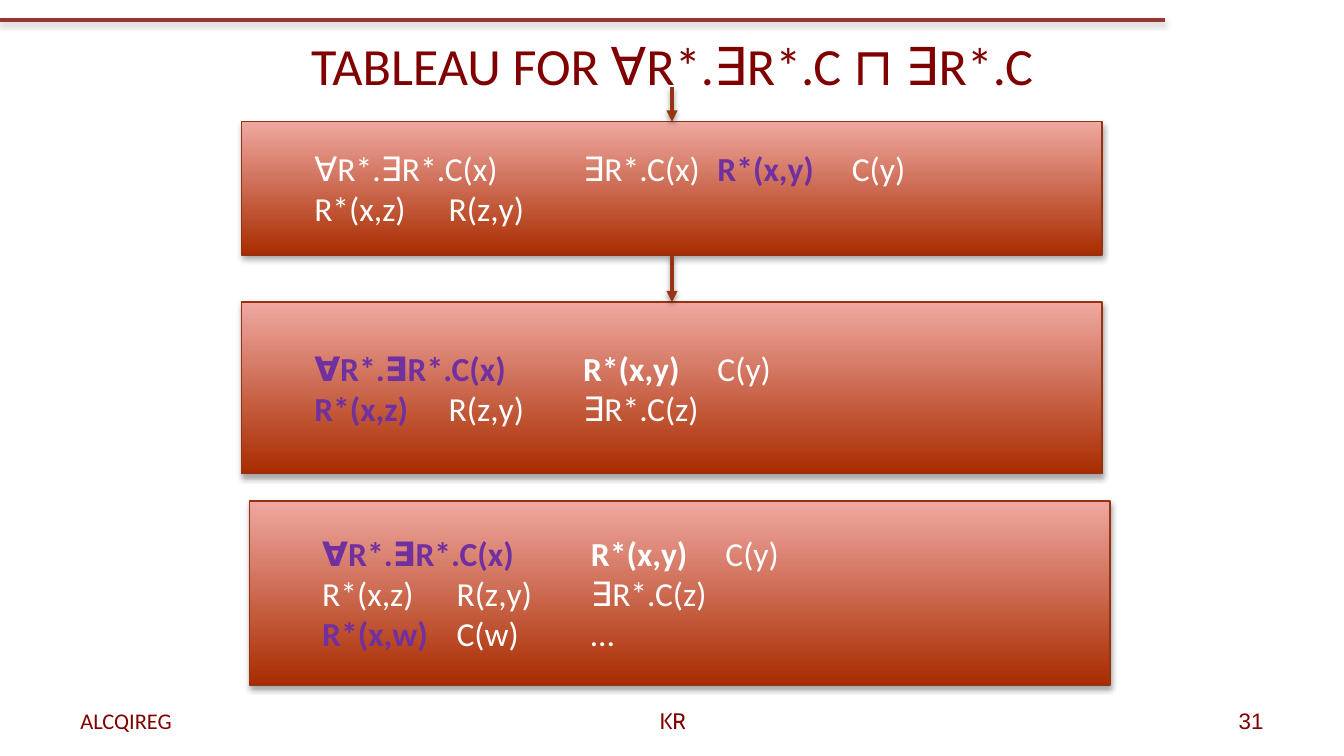
from lxml.etree import SubElement
from pptx import Presentation
from pptx.dml.color import RGBColor
from pptx.enum.shapes import MSO_CONNECTOR, MSO_SHAPE
from pptx.enum.text import MSO_ANCHOR, MSO_AUTO_SIZE, PP_ALIGN
from pptx.oxml.ns import qn
from pptx.util import Cm, Pt

MAROON = RGBColor(0x80, 0x00, 0x00)
RULE_RED = RGBColor(0x95, 0x37, 0x35)
ARROW_RED = RGBColor(0x96, 0x35, 0x13)
BORDER_RED = RGBColor(0x96, 0x32, 0x0F)
DEEP_RED = RGBColor(0xA9, 0x2C, 0x00)
PALE_RED = RGBColor(0xEF, 0xA8, 0xA1)
PURPLE = RGBColor(0x70, 0x30, 0xA0)
WHITE = RGBColor(0xFF, 0xFF, 0xFF)

PLAIN = (WHITE, False)
STRONG = (WHITE, True)
ACTIVE = (PURPLE, True)

TITLE = "TABLEAU FOR ∀R*.∃R*.C ⊓ ∃R*.C"

# Each line of a tableau node is a list of (text, style) spans.
EXPANDED = [("∀R*.∃R*.C(x)\t", ACTIVE), ("R*(x,y)", STRONG), ("\tC(y)", PLAIN)]
NODES = [
    {"left": 4.57, "top": 2.3, "height": 2.52, "lines": [
        [("∀R*.∃R*.C(x)\t∃R*.C(x)\t", PLAIN), ("R*(x,y)", ACTIVE), ("\tC(y)", PLAIN)],
        [("R*(x,z)\tR(z,y)", PLAIN)],
    ]},
    {"left": 4.57, "top": 5.71, "height": 3.24, "lines": [
        EXPANDED,
        [("R*(x,z)\t", ACTIVE), ("R(z,y)\t∃R*.C(z)", PLAIN)],
    ]},
    {"left": 4.72, "top": 9.47, "height": 3.48, "lines": [
        EXPANDED,
        [("R*(x,z)\tR(z,y)\t∃R*.C(z)", PLAIN)],
        [("R*(x,w)", ACTIVE), ("\tC(w)\t…", PLAIN)],
    ]},
]
NODE_WIDTH = 16.26
TAB_STEP = 2.54
TAB_COUNT = 4

# Text, left, width, font, alignment
FOOTERS = [
    ("ALCQIREG", 1.27, 6.93, "Calibri", PP_ALIGN.LEFT),
    ("KR", 8.69, 8.05, "Cabin", PP_ALIGN.CENTER),
    ("31", 18.21, 5.92, "Arial", PP_ALIGN.RIGHT),
]


def write(frame, lines, size, font="Calibri", align=PP_ALIGN.LEFT, tabs=0):
    """Fill a text frame with lines made of (text, (colour, bold)) spans."""
    frame.word_wrap = True
    frame.auto_size = MSO_AUTO_SIZE.NONE
    frame.vertical_anchor = MSO_ANCHOR.MIDDLE
    for index, line in enumerate(lines):
        para = frame.add_paragraph() if index else frame.paragraphs[0]
        para.alignment = align
        if tabs:
            tab_list = SubElement(para._p.get_or_add_pPr(), qn("a:tabLst"))
            for number in range(1, tabs + 1):
                SubElement(tab_list, qn("a:tab"), pos=str(Cm(number * TAB_STEP)), algn="l")
        for text, (color, bold) in line:
            span = para.add_run()
            span.text = text
            span.font.name = font
            span.font.size = Pt(size)
            span.font.bold = bold
            span.font.color.rgb = color


def add_shadow(shape, color, opacity, distance):
    """Give a shape a soft shadow that falls straight down."""
    effects = SubElement(shape._element.spPr, qn("a:effectLst"))
    shadow = SubElement(effects, qn("a:outerShdw"), blurRad=str(Pt(3.1)),
                        dist=str(Pt(distance)), dir="5400000", rotWithShape="0")
    tint = SubElement(shadow, qn("a:srgbClr"), val=color)
    SubElement(tint, qn("a:alpha"), val=str(opacity * 1000))


def add_line(page, start, end, color, shadow_color):
    line = page.shapes.add_connector(
        MSO_CONNECTOR.STRAIGHT, *(Cm(value) for value in start + end))
    line.line.color.rgb = color
    line.line.width = Pt(2)
    add_shadow(line, shadow_color, 38, 1.6)
    return line


def add_arrow(page, start, end):
    arrow = add_line(page, start, end, ARROW_RED, "000000")
    SubElement(arrow.line._get_or_add_ln(), qn("a:tailEnd"), type="triangle")
    return arrow


def add_node(page, node):
    box = page.shapes.add_shape(
        MSO_SHAPE.RECTANGLE, Cm(node["left"]), Cm(node["top"]),
        Cm(NODE_WIDTH), Cm(node["height"]))
    box.fill.gradient()
    box.fill.gradient_angle = 90
    for stop, color in zip(box.fill.gradient_stops, (DEEP_RED, PALE_RED)):
        stop.color.rgb = color
    for stop, position in zip(box.fill.gradient_stops, (0, 1)):
        stop.position = position
    box.line.color.rgb = BORDER_RED
    box.line.width = Pt(0.75)
    add_shadow(box, "000000", 35, 1.8)
    box.text_frame.margin_left = Cm(1.37)
    write(box.text_frame, node["lines"], 18, tabs=TAB_COUNT)
    return box


def main():
    deck = Presentation()
    deck.slide_width, deck.slide_height = Cm(25.4), Cm(14.29)
    page = deck.slides.add_slide(deck.slide_layouts[5])

    add_line(page, (0, 0.38), (22.02, 0.38), RULE_RED, "808080")

    title = page.shapes.title
    title.left, title.top, title.width, title.height = Cm(1.27), Cm(0.03), Cm(22.86), Cm(2.39)
    write(title.text_frame, [[(TITLE, (MAROON, False))]], 28, align=PP_ALIGN.CENTER)

    for text, left, width, font, align in FOOTERS:
        footer = page.shapes.add_textbox(Cm(left), Cm(13.24), Cm(width), Cm(0.76))
        write(footer.text_frame, [[(text, (MAROON, False))]], 12, font=font, align=align)

    boxes = [add_node(page, node) for node in NODES]
    first, second = NODES[:2]
    middle = first["left"] + NODE_WIDTH / 2
    entry = add_arrow(page, (middle, 1.65), (middle, first["top"]))
    entry.end_connect(boxes[0], 0)
    step = add_arrow(page, (middle, first["top"] + first["height"]), (middle, second["top"]))
    step.begin_connect(boxes[0], 2)
    step.end_connect(boxes[1], 0)

    deck.save("out.pptx")


if __name__ == "__main__":
    main()
